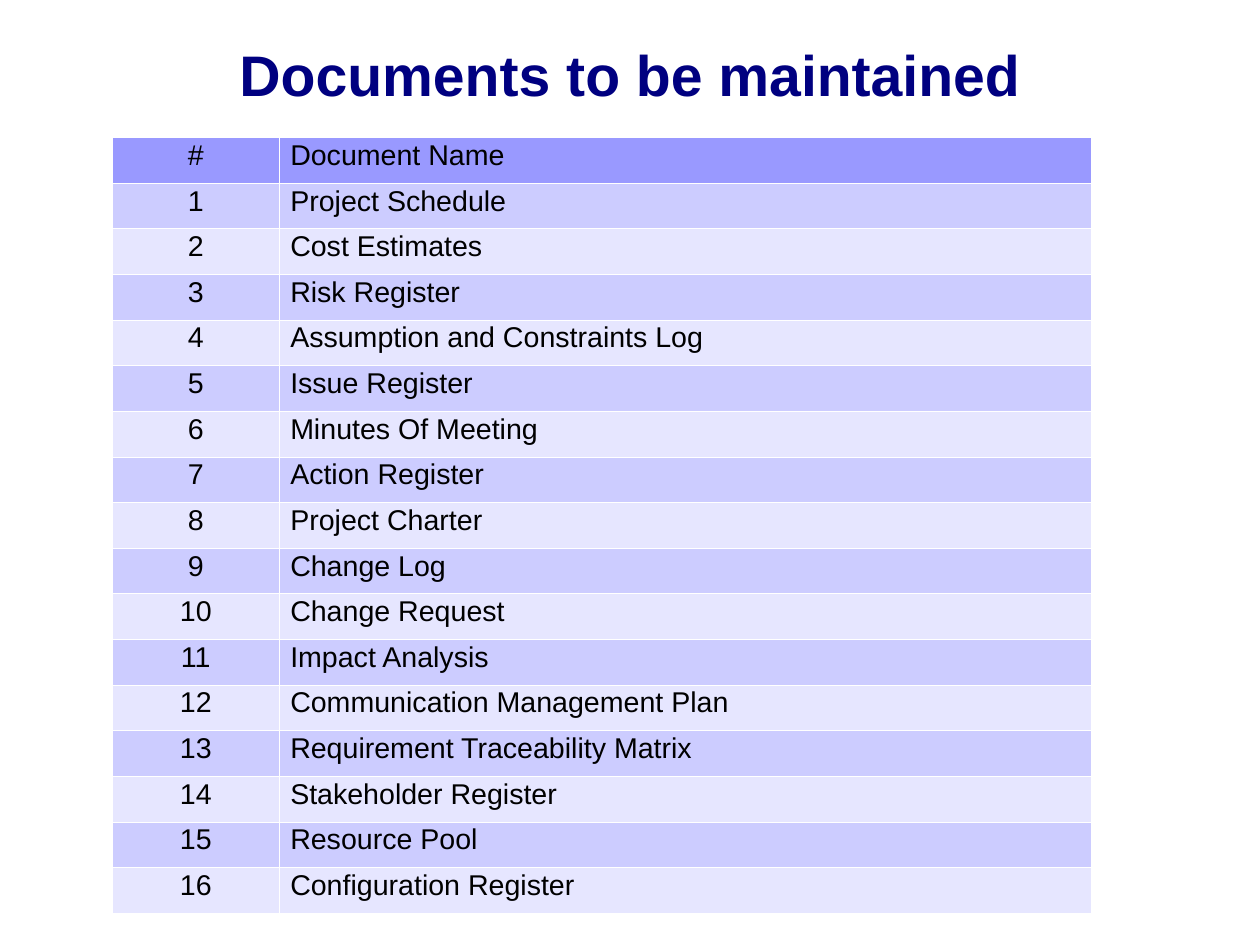
from lxml import etree
from pptx import Presentation
from pptx.dml.color import RGBColor
from pptx.enum import text
from pptx.oxml import ns
from pptx.util import Cm, Pt

NAVY = RGBColor(0x00, 0x00, 0x80)
BLACK = RGBColor(0x00, 0x00, 0x00)
WHITE = RGBColor(0xFF, 0xFF, 0xFF)
HEADER_BLUE = RGBColor(0x99, 0x99, 0xFF)
BANDS = [RGBColor(0xCC, 0xCC, 0xFF), RGBColor(0xE6, 0xE6, 0xFF)]
FONT = "Arial"
BORDER_WIDTH = Pt(0.06)

DOCUMENTS = [
    "Project Schedule",
    "Cost Estimates",
    "Risk Register",
    "Assumption and Constraints Log",
    "Issue Register",
    "Minutes Of Meeting",
    "Action Register",
    "Project Charter",
    "Change Log",
    "Change Request",
    "Impact Analysis",
    "Communication Management Plan",
    "Requirement Traceability Matrix",
    "Stakeholder Register",
    "Resource Pool",
    "Configuration Register",
]


def format_paragraph(paragraph, size, color, spacing, align, bold=False):
    paragraph.alignment = align
    paragraph.line_spacing = spacing
    font = paragraph.font
    font.name, font.size, font.bold = FONT, Pt(size), bold
    font.color.rgb = color


def add_borders(cell):
    """Draw a white hairline on all four sides of the cell."""
    properties = cell._tc.get_or_add_tcPr()
    for index, side in enumerate(("lnL", "lnR", "lnT", "lnB")):
        line = etree.Element(ns.qn(f"a:{side}"), w=str(BORDER_WIDTH))
        fill = etree.SubElement(line, ns.qn("a:solidFill"))
        etree.SubElement(fill, ns.qn("a:srgbClr"), val=str(WHITE))
        properties.insert(index, line)


def fill_title(slide, left, top, width, height):
    title = slide.shapes.title
    title.left, title.top, title.width, title.height = left, top, width, height
    frame = title.text_frame
    frame.text = "Documents to be maintained"
    frame.auto_size = text.MSO_AUTO_SIZE.NONE
    frame.vertical_anchor = text.MSO_ANCHOR.MIDDLE
    frame.margin_left = frame.margin_right = frame.margin_bottom = 0
    frame.margin_top = Cm(0.13)
    format_paragraph(frame.paragraphs[0], 36, NAVY, 0.93,
                     text.PP_ALIGN.CENTER, bold=True)


def add_document_table(slide, left, top, width, height):
    rows = [("#", "Document Name")]
    rows += [(str(number), name) for number, name in enumerate(DOCUMENTS, 1)]
    table = slide.shapes.add_table(len(rows), 2, left, top, width, height).table
    number_width = Cm(3.7)
    table.columns[0].width = number_width
    table.columns[1].width = width - number_width
    aligns = (text.PP_ALIGN.CENTER, text.PP_ALIGN.LEFT)

    for row_index, row in enumerate(rows):
        color = BANDS[(row_index - 1) % 2] if row_index else HEADER_BLUE
        for column, (content, align) in enumerate(zip(row, aligns)):
            cell = table.cell(row_index, column)
            cell.text = content
            cell.margin_left = cell.margin_right = Cm(0.25)
            cell.margin_top = cell.margin_bottom = Cm(0.13)
            cell.fill.solid()
            cell.fill.fore_color.rgb = color
            add_borders(cell)
            format_paragraph(cell.text_frame.paragraphs[0], 18, BLACK, 0.87, align)


def main():
    deck = Presentation()
    deck.slide_width, deck.slide_height = Cm(28), Cm(21)
    slide = deck.slides.add_slide(deck.slide_layouts[5])
    fill_title(slide, Cm(1.4), Cm(0.5), Cm(25.2), Cm(2.3))
    add_document_table(slide, Cm(2.5), Cm(3.05), Cm(21.74), Cm(17.25))
    deck.save("out.pptx")


if __name__ == "__main__":
    main()
